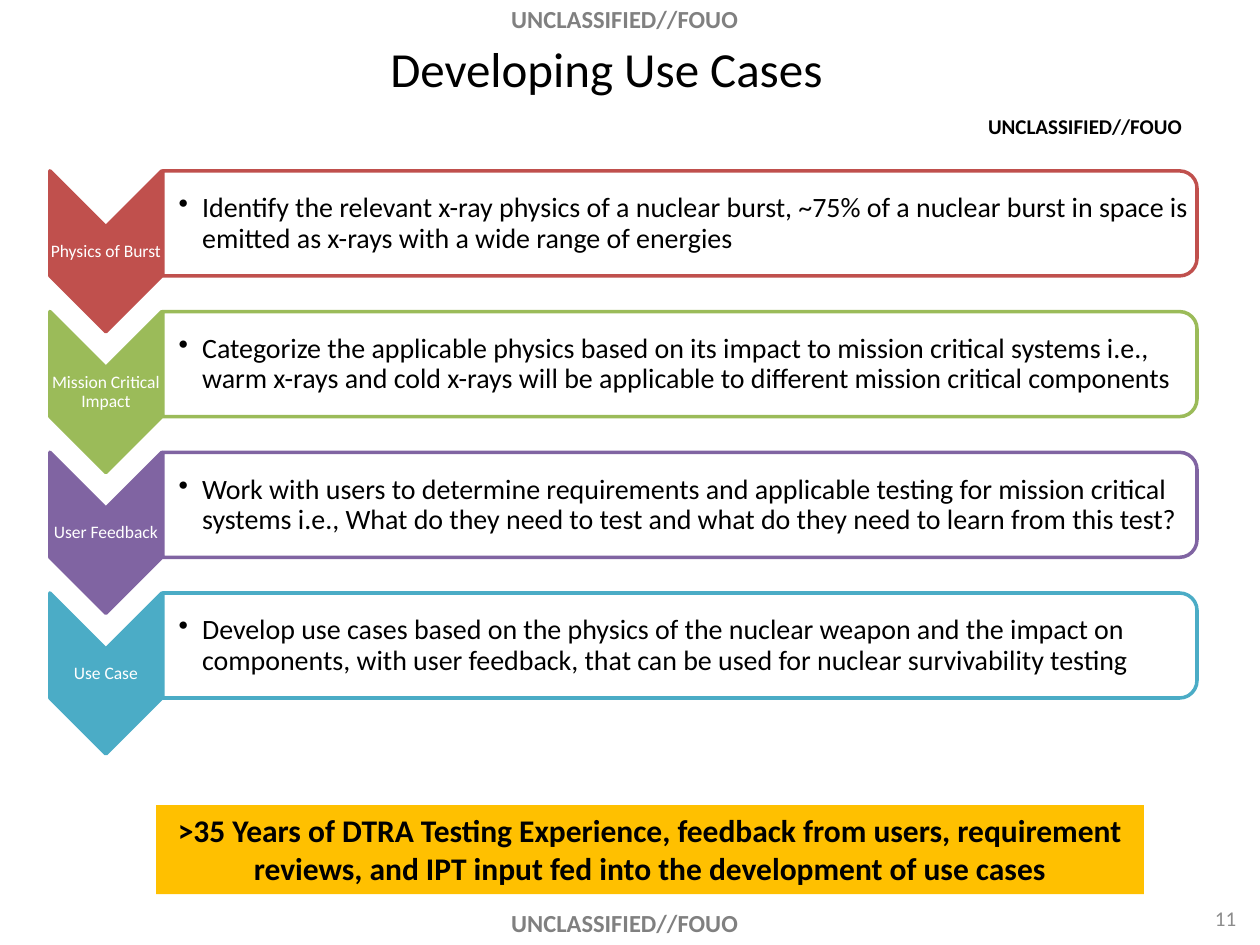
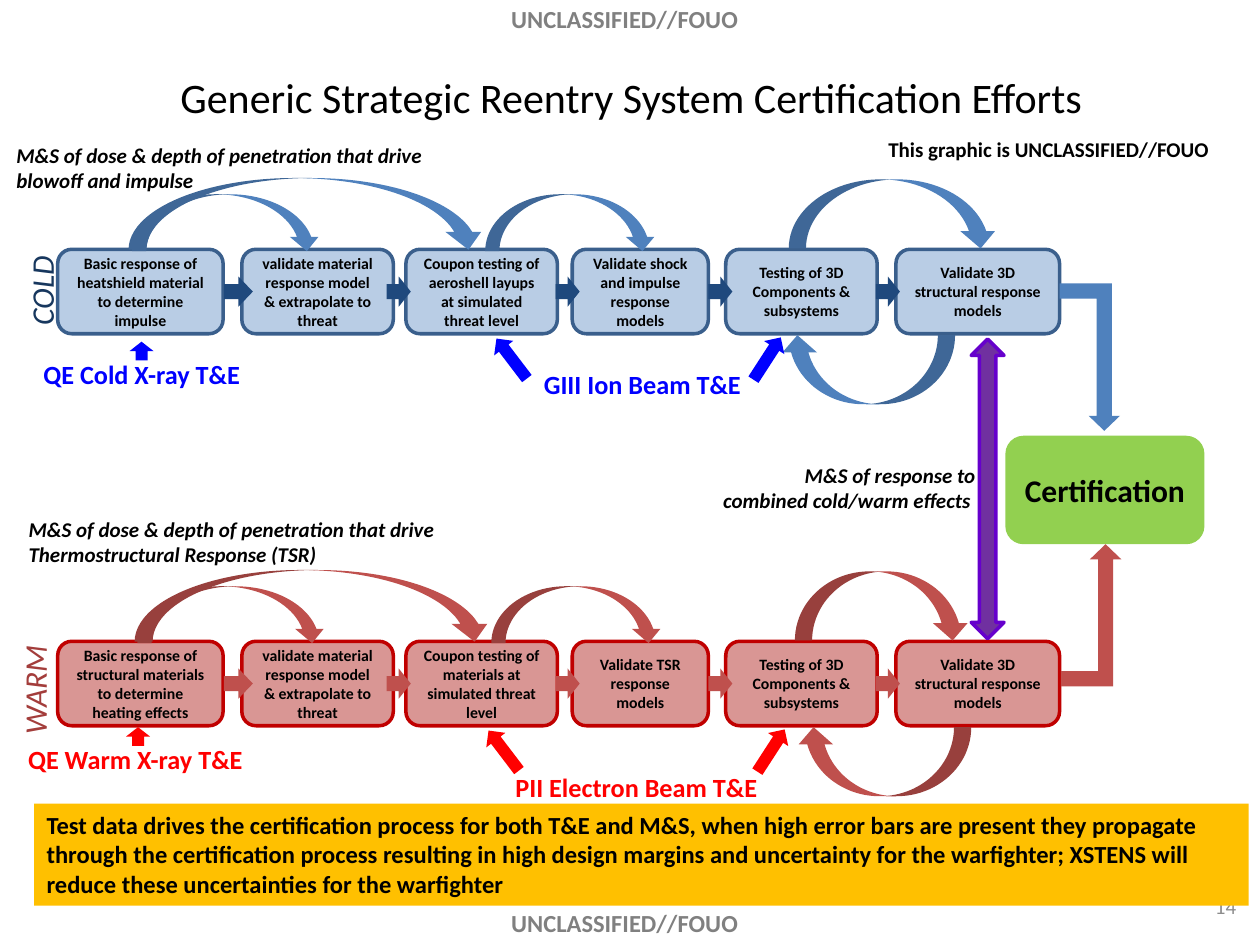
from pptx import Presentation
from pptx.dml.color import RGBColor as RGB
from pptx.enum.shapes import MSO_SHAPE as Kind
from pptx.enum.text import MSO_ANCHOR as Anchor, PP_ALIGN as Align
from pptx.oxml.ns import qn
from pptx.util import Pt
from lxml.etree import SubElement as Sub

HUES = {
    "white": "FFFFFF", "black": "000000", "mark": "808080", "page": "8C8C8C",
    "gold": "FFC000", "lime": "92D050", "plum": "7030A0", "edge": "6600CC",
    "red": "C0504D", "green": "9BBB59", "violet": "8064A2", "aqua": "4BACC6",
}
MARK = "UNCLASSIFIED//FOUO"

STEPS = [
    ("red", "Physics of Burst",
     "Identify the relevant x-ray physics of a nuclear burst, ~75% of a nuclear burst in space is "
     "emitted as x-rays with a wide range of energies"),
    ("green", "Mission Critical Impact",
     "Categorize the applicable physics based on its impact to mission critical systems i.e., "
     "warm x-rays and cold x-rays will be applicable to different mission critical components"),
    ("violet", "User Feedback",
     "Work with users to determine requirements and applicable testing for mission critical "
     "systems i.e., What do they need to test and what do they need to learn from this test?"),
    ("aqua", "Use Case",
     "Develop use cases based on the physics of the nuclear weapon and the impact on "
     "components, with user feedback, that can be used for nuclear survivability testing"),
]

COLS = [(33, 94.5), (138.25, 86.5), (232, 86.5), (327, 77.75), (414.75, 86.5), (512, 93.5)]
LINKS = [(128, 16.5), (221, 13.75), (317.5, 13.75), (404.75, 13.75), (500.5, 13.75)]
MODEL = "validate material response model & extrapolate to threat"
PARTS = "Testing of 3D Components & subsystems"
FINAL = "Validate 3D structural response models"
DRIVE = "M&S of dose & depth of penetration that drive "

COLD = {
    "top": 142.5,
    "hues": {"fill": "B9CDE5", "line": "3A5F8C", "link": "1F497D", "arc": "4F81BD",
             "test": "0000FF", "name": "17375E"},
    "cells": ["Basic response of heatshield material to determine impulse", MODEL,
              "Coupon testing of aeroshell layups at simulated threat level",
              "Validate shock and impulse response models", PARTS, FINAL],
    "arcs": [(73.5, 204.5), (75.5, 108), (277.25, 98), (450.75, 119.5), (445.75, 100)],
    "name": ("COLD", (-13, 141.75, 73.5, 29)),
    "note": (DRIVE + "blowoff and impulse", (2.25, 77.75, 253.5, 36)),
    "tests": [("QE Cold X-ray T&E", (13.75, 201, 134.5, 25)),
              ("GIII Ion Beam T&E", (297.25, 206.75, 139.75, 25))],
    "rays": [(75.5, 193.75), (278, 198), (424, 198)],
    "bend": (605.5, 162, 34.5, 84.25),
    "flip": True,
}
WARM = {
    "top": 366.5,
    "hues": {"fill": "D99694", "line": "C00000", "link": "BF504D", "arc": "BF504D",
             "test": "FF0000", "name": "A33D3B"},
    "cells": ["Basic response of structural materials to determine heating effects", MODEL,
              "Coupon testing of materials at simulated threat level",
              "Validate TSR response models", PARTS, FINAL],
    "arcs": [(77, 204.5), (78.5, 108), (280.75, 98), (454.25, 100), (455, 100)],
    "name": ("WARM", (-13.75, 378.75, 67, 29)),
    "note": (DRIVE + "Thermostructural Response (TSR)", (9.25, 291.5, 253.5, 36)),
    "tests": [("QE Warm X-ray T&E", (5.75, 421.25, 143.25, 25)),
              ("PII Electron Beam T&E", (283, 437, 161.25, 25))],
    "rays": [(73.5, 414), (273.5, 422), (426.25, 422)],
    "bend": (606.25, 311, 34.5, 81.25),
    "flip": False,
}
ARCS = [
    (Kind.CURVED_UP_ARROW, -40.75, 41, True, 0),
    (Kind.CURVED_UP_ARROW, -31.5, 32.5, True, 0),
    (Kind.CURVED_UP_ARROW, -31.5, 32.5, True, 0),
    (Kind.CURVED_DOWN_ARROW, -40, 39.5, False, 0),
    (Kind.CURVED_DOWN_ARROW, 49, 39.5, False, 180),
]
RAYS = [(10.75, 13.75, 270), (28.75, 13.75, 232.7), (28.75, 13.75, 302.9)]


def hue(name):
    return RGB.from_string(HUES.get(name, name))


def draw(slide, kind, at, fill, line=None, turn=0, flip=False):
    item = slide.shapes.add_shape(kind, *map(Pt, at))
    item.shadow.inherit = False
    item.rotation = turn
    item.fill.solid()
    item.fill.fore_color.rgb = hue(fill)
    if line:
        item.line.color.rgb = hue(line)
        item.line.width = Pt(2)
    else:
        item.line.fill.background()
    if flip:
        item.element.spPr.find(qn("a:xfrm")).set("flipV", "1")
    return item


def put(item, words, size, tint="black", align=Align.LEFT, anchor=Anchor.TOP,
        pad=None, wrap=True, space=None, dot=False, **look):
    frame = item.text_frame
    form = {"word_wrap": wrap, "vertical_anchor": anchor}
    if pad:
        sides = ("left", "top", "right", "bottom")
        form.update({f"margin_{side}": Pt(gap) for side, gap in zip(sides, pad)})
    for key, val in form.items():
        setattr(frame, key, val)
    para = frame.paragraphs[0]
    para.alignment = align
    if space:
        para.line_spacing = space
    if dot:
        props = para._p.get_or_add_pPr()
        props.set("marL", str(Pt(13.5)))
        props.set("indent", str(-Pt(13.5)))
        Sub(props, qn("a:buChar")).set("char", "•")
    run = para.add_run()
    run.text = words
    run.font.color.rgb = hue(tint)
    for key, val in {"name": "Calibri", "size": Pt(size), **look}.items():
        setattr(run.font, key, val)


def label(slide, at, words, size, turn=0, **look):
    item = slide.shapes.add_textbox(*map(Pt, at))
    item.rotation = turn
    put(item, words, size, **look)


def band(slide, at, words, size, align):
    item = draw(slide, Kind.RECTANGLE, at, "gold")
    put(item, words, size, align=align, bold=True)


def base(deck, title, at, size, page, top):
    slide = deck.slides.add_slide(deck.slide_layouts[6])
    for y in (-1.5, 515.5):
        item = draw(slide, Kind.RECTANGLE, (228, y, 258, 24.5), "white")
        put(item, MARK, 14, "mark", Align.CENTER, bold=True)
    label(slide, at, title, size, align=Align.CENTER, anchor=Anchor.MIDDLE)
    label(slide, (545.75, top, 167.75, 28.75), page, 12, tint="page",
          align=Align.RIGHT, anchor=Anchor.MIDDLE)
    return slide


def step(slide, y, tint, name, words):
    draw(slide, Kind.CHEVRON, (14.5, y + 11.25, 92, 64), tint, tint, 90)
    label(slide, (28.5, y + 29.75, 64, 27.5), name, 10, tint="white", align=Align.CENTER,
          anchor=Anchor.MIDDLE, pad=(0.5,) * 4, space=0.9)
    draw(slide, Kind.ROUND_2_SAME_RECTANGLE, (358.5, y - 268.25, 60, 591), "white", tint, 90)
    label(slide, (93, y + 0.5, 588, 54), words, 16, anchor=Anchor.MIDDLE,
          pad=(9, 0.75, 0.75, 0.75), space=0.9, dot=True)


def lane(slide, data):
    top, hues = data["top"], data["hues"]
    for (x, w), words in zip(COLS, data["cells"]):
        cell = draw(slide, Kind.ROUNDED_RECTANGLE, (x, top, w, 48.25), hues["fill"], hues["line"])
        put(cell, words, 9, align=Align.CENTER, anchor=Anchor.MIDDLE, bold=True)
    for x, w in LINKS:
        draw(slide, Kind.RIGHT_ARROW, (x, top + 15.5, w, 17.25), hues["link"])
    for (x, w), (kind, y, h, flip, turn) in zip(data["arcs"], ARCS):
        draw(slide, kind, (x, top + y, w, h), hues["arc"], turn=turn, flip=flip)
    for (x, y), (w, h, turn) in zip(data["rays"], RAYS):
        draw(slide, Kind.RIGHT_ARROW, (x, y, w, h), hues["test"], turn=turn)
    bend = draw(slide, Kind.BENT_UP_ARROW, data["bend"], hues["arc"], flip=data["flip"])
    bend.adjustments[1] = 0.26
    for words, at in data["tests"]:
        label(slide, at, words, 15, tint=hues["test"], align=Align.CENTER, bold=True)
    words, at = data["name"]
    label(slide, at, words, 18, 270, tint=hues["name"], italic=True)
    words, at = data["note"]
    label(slide, at, words, 12, bold=True, italic=True)


def cases(deck):
    slide = base(deck, "Developing Use Cases", (22.5, -6.5, 648, 90), 28, "11", 510.5)
    for row, data in enumerate(STEPS):
        step(slide, 100.4 + 80.4 * row, *data)
    band(slide, (89.25, 460, 564.5, 51),
         ">35 Years of DTRA Testing Experience, feedback from users, requirement reviews, "
         "and IPT input fed into the development of use cases", 18, Align.CENTER)
    label(slide, (557.5, 61.25, 126.75, 21.75), MARK, 12, wrap=False, bold=True)


def efforts(deck):
    slide = base(deck, "Generic Strategic Reentry System Certification Efforts",
                 (-6, 10, 733.5, 90), 24, "14", 503.25)
    goal = draw(slide, Kind.ROUNDED_RECTANGLE, (574.5, 249, 113.75, 62), "lime")
    put(goal, "Certification", 18, align=Align.CENTER, anchor=Anchor.MIDDLE, bold=True)
    for data in (COLD, WARM):
        lane(slide, data)
    draw(slide, Kind.UP_DOWN_ARROW, (555, 193.75, 18.75, 171.25), "plum", "edge")
    label(slide, (402.5, 260.75, 162, 36), "M&S of response to combined cold/warm effects ", 12,
          align=Align.RIGHT, bold=True, italic=True)
    band(slide, (19.5, 459.25, 694, 58.25),
         "Test data drives the certification process for both T&E and M&S, when high error bars "
         "are present they propagate through the certification process resulting in high design "
         "margins and uncertainty for the warfighter; XSTENS will reduce these uncertainties "
         "for the warfighter", 14, Align.LEFT)
    label(slide, (500.5, 74.25, 206, 21.75), "This graphic is " + MARK, 12, bold=True)


def main():
    deck = Presentation()
    deck.slide_width, deck.slide_height = Pt(720), Pt(540)
    cases(deck)
    efforts(deck)
    deck.save("out.pptx")


if __name__ == "__main__":
    main()
